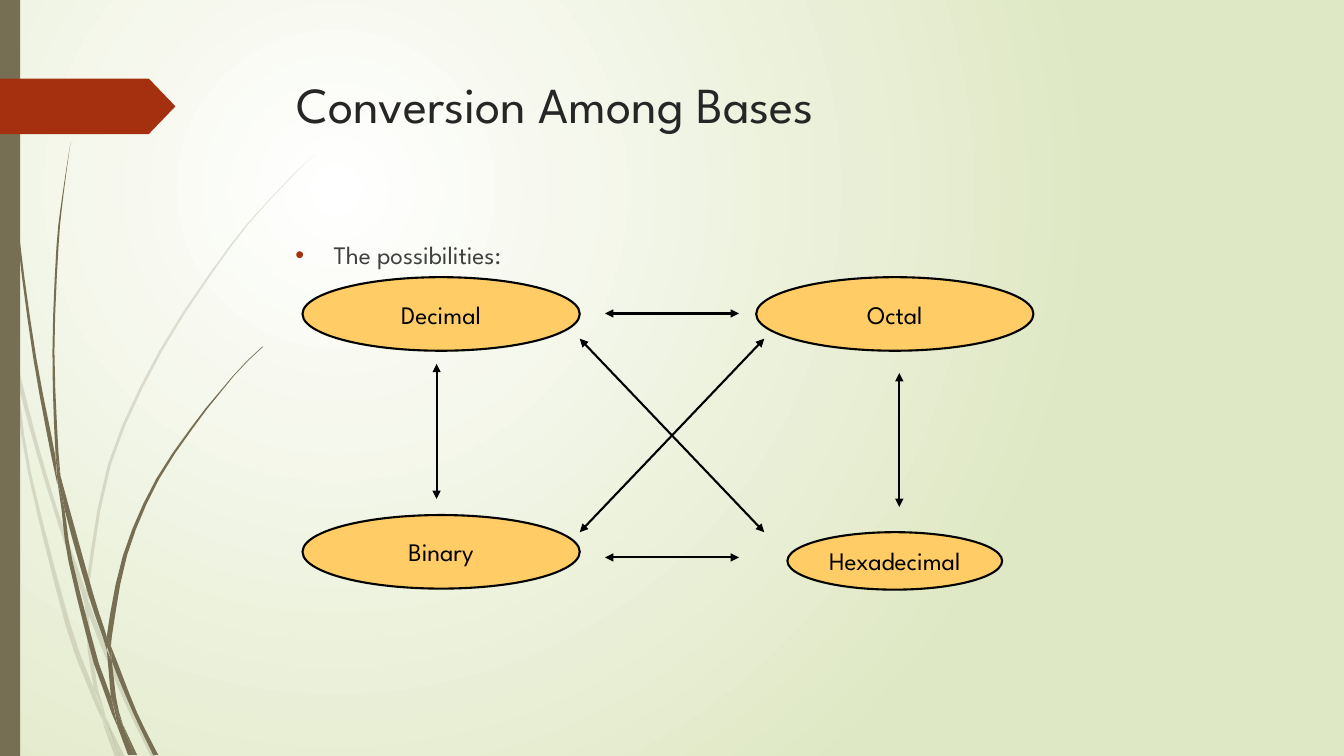
from lxml.etree import SubElement
from pptx import Presentation
from pptx.dml.color import RGBColor
from pptx.enum.shapes import MSO_CONNECTOR as CONNECTOR, MSO_SHAPE as SHAPE
from pptx.enum.text import MSO_ANCHOR as ANCHOR, PP_ALIGN as ALIGN
from pptx.oxml import parse_xml
from pptx.oxml.ns import nsdecls, qn
from pptx.util import Inches, Pt

FONT = "League Spartan"
OLIVE, RED, AMBER, BLACK = "766F54", "A53010", "FFCC66", "000000"

# Each piece of a grass blade is a list of rows: y, left edge, right edge.
PALE_PIECES = [
    [(2.82, 0, 0), (2.99, 0, 0.04), (3.22, 0.05, 0.09), (3.5, 0.11, 0.11)],
    [(3.45, 0.14, 0.14), (3.76, 0.17, 0.21), (4.49, 0.36, 0.4), (5.21, 0.58, 0.62),
     (5.86, 0.8, 0.85), (5.99, 0.84, 0.84)],
    [(5.96, 0.88, 0.88), (6.1, 0.88, 0.93), (6.93, 1.22, 1.27), (7.51, 1.5, 1.55)],
    [(7.11, 1.05, 1.05), (7.25, 1.09, 1.11), (7.51, 1.19, 1.24)],
    [(3.5, 0.11, 0.11), (3.76, 0.14, 0.17), (4.7, 0.28, 0.31), (6.2, 0.65, 0.7),
     (6.83, 0.88, 0.93), (6.93, 0.92, 0.95), (7.14, 1.01, 1.01)],
    [(5.99, 0.84, 0.84), (6.1, 0.85, 0.88), (6.46, 0.87, 0.91),
     (6.83, 0.93, 0.97), (7.11, 1.05, 1.05)],
    [(1.53, 3.12, 3.12), (1.75, 2.89, 2.9), (1.97, 2.68, 2.69), (2.45, 2.27, 2.29),
     (3.48, 1.58, 1.61), (4.61, 1.07, 1.1), (5.85, 0.85, 0.88), (5.96, 0.88, 0.88)],
    [(7.14, 1.01, 1.01), (7.26, 1.05, 1.07), (7.51, 1.14, 1.19)],
    [(5.86, 0.85, 0.85), (5.99, 0.84, 0.88), (6.1, 0.88, 0.88)],
    [(6.83, 0.93, 0.93), (6.92, 0.95, 0.96), (7.07, 0.99, 1.03), (7.51, 1.19, 1.19)],
]
DARK_PIECES = [
    [(0, 0.03, 0.04), (1.1, 0.07, 0.08), (2.33, 0.17, 0.19), (3.55, 0.33, 0.36),
     (4.53, 0.51, 0.55), (4.81, 0.57, 0.57)],
    [(4.72, 0.6, 0.6), (5.05, 0.64, 0.69), (5.91, 0.88, 0.93), (6.32, 1.02, 1.06),
     (6.45, 1.06, 1.06)],
    [(6.41, 1.1, 1.1), (6.56, 1.11, 1.16), (7.07, 1.32, 1.36), (7.49, 1.52, 1.57)],
    [(4.77, 0.57, 0.57), (5.05, 0.61, 0.64), (5.57, 0.68, 0.72), (6.58, 0.93, 0.98),
     (6.91, 1.05, 1.1), (7.08, 1.11, 1.14), (7.22, 1.17, 1.17)],
    [(1.41, 0.7, 0.7), (1.93, 0.62, 0.63), (2.45, 0.56, 0.58), (3.49, 0.52, 0.54),
     (4.49, 0.55, 0.58), (4.72, 0.6, 0.6)],
    [(7.19, 1.22, 1.22), (7.49, 1.33, 1.36)],
    [(4.49, 0.55, 0.55), (4.77, 0.57, 0.61), (5.05, 0.64, 0.64)],
    [(3.44, 2.6, 2.61), (3.58, 2.45, 2.46), (3.73, 2.31, 2.32), (4.05, 2.04, 2.06),
     (4.75, 1.55, 1.58), (5.51, 1.22, 1.26), (6.31, 1.06, 1.11), (6.41, 1.1, 1.1)],
    [(7.22, 1.17, 1.17), (7.49, 1.27, 1.31)],
    [(6.45, 1.06, 1.06), (6.56, 1.07, 1.11), (6.91, 1.1, 1.15), (7.06, 1.16, 1.18),
     (7.19, 1.22, 1.22)],
    [(6.31, 1.06, 1.06), (6.41, 1.06, 1.1), (6.56, 1.11, 1.11)],
    [(6.91, 1.1, 1.1), (7.06, 1.14, 1.16), (7.22, 1.17, 1.23), (7.49, 1.3, 1.33)],
]


def color(hex_string):
    return RGBColor.from_string(hex_string)


def paint(shape, fill, line=None):
    shape.shadow.inherit = False
    shape.fill.solid()
    shape.fill.fore_color.rgb = color(fill)
    if line:
        shape.line.color.rgb = color(line)
        shape.line.width = Pt(1.5)
    else:
        shape.line.fill.background()


def write(frame, text, size=18, ink=BLACK, align=ALIGN.LEFT, anchor=ANCHOR.TOP,
          wrap=True, bullet=None):
    frame.word_wrap = wrap
    frame.vertical_anchor = anchor
    paragraph = frame.paragraphs[0]
    paragraph.alignment = align
    if bullet:
        properties = paragraph._p.get_or_add_pPr()
        properties.set("marL", str(Inches(0.38)))
        properties.set("indent", str(-Inches(0.38)))
        bullet_color = SubElement(properties, qn("a:buClr"))
        SubElement(bullet_color, qn("a:srgbClr"), val=bullet)
        SubElement(properties, qn("a:buFont"), typeface="Arial")
        SubElement(properties, qn("a:buChar"), char="•")
    run = paragraph.add_run()
    run.text = text
    run.font.name = FONT
    run.font.size = Pt(size)
    run.font.color.rgb = color(ink)


def add_text(slide, box, text, **style):
    textbox = slide.shapes.add_textbox(*map(Inches, box))
    write(textbox.text_frame, text, **style)


def smooth_rows(rows, steps=3):
    """Pass a Catmull-Rom curve through the rows of a piece."""
    padded = [rows[0], *rows, rows[-1]]
    curve = []
    for before, start, end, after in zip(padded, padded[1:], padded[2:], padded[3:]):
        for step in range(steps if end[0] - start[0] > 0.4 else 1):
            t = step / steps
            curve.append([
                b + ((c - a) * t + (2 * a - 5 * b + 4 * c - d) * t ** 2
                     + (3 * b - a - 3 * c + d) * t ** 3) / 2
                for a, b, c, d in zip(before, start, end, after)])
    return curve + [rows[-1]]


def add_grass_piece(slide, left, top, rows, opacity):
    rows = smooth_rows(rows)
    outline = [(Inches(left + x), Inches(top + y)) for y, x, _ in rows]
    outline += [(Inches(left + x), Inches(top + y)) for y, _, x in reversed(rows)]
    builder = slide.shapes.build_freeform(*outline[0])
    builder.add_line_segments(outline[1:], close=True)
    piece = builder.convert_to_shape()
    paint(piece, OLIVE)
    if opacity < 100:
        tint = piece._element.spPr.find(qn("a:solidFill"))[0]
        SubElement(tint, qn("a:alpha"), val=str(opacity * 1000))


def set_background(slide):
    fill = slide.background.fill
    fill.gradient()
    for stop, shade in zip(fill.gradient_stops, ("FFFFFF", "DFE8C4")):
        stop.color.rgb = color(shade)
    gradient = slide._element.find(".//" + qn("a:gradFill"))
    gradient.replace(gradient.find(qn("a:lin")), parse_xml(
        f'<a:path {nsdecls("a")} path="circle"><a:fillToRect '
        'l="50000" t="50000" r="100000" b="100000"/></a:path>'))


def add_side_decoration(slide, left, top, height):
    for pieces, opacity in ((PALE_PIECES, 20), (DARK_PIECES, 100)):
        for rows in pieces:
            add_grass_piece(slide, left, top, rows, opacity)
    bar = slide.shapes.add_shape(
        SHAPE.RECTANGLE, *map(Inches, (left, top, 0.2, height)))
    paint(bar, OLIVE)
    tag = slide.shapes.add_shape(
        SHAPE.PENTAGON, *map(Inches, (left, top + 0.78, 1.74, 0.55)))
    tag.adjustments[0] = 0.48
    paint(tag, RED)


def add_base(slide, box, name):
    base = slide.shapes.add_shape(SHAPE.OVAL, *map(Inches, box))
    paint(base, AMBER, BLACK)
    write(base.text_frame, name, align=ALIGN.CENTER, anchor=ANCHOR.MIDDLE, wrap=False)


def add_double_arrow(slide, *ends):
    arrow = slide.shapes.add_connector(CONNECTOR.STRAIGHT, *map(Inches, ends))
    arrow.line.color.rgb = color(BLACK)
    arrow.line.width = Pt(1.5)
    line = arrow.line._get_or_add_ln()
    for end in ("a:headEnd", "a:tailEnd"):
        SubElement(line, qn(end), type="triangle")
    SubElement(arrow._element.spPr, qn("a:effectLst"))


def add_conversion_diagram(slide, left, top):
    for x, y, width, height, name in (
            (4.81, 2.53, 2.13, 0.57, "Hexadecimal"),
            (0, 0, 2.75, 0.73, "Decimal"),
            (4.5, 0, 2.75, 0.73, "Octal"),
            (0, 2.36, 2.75, 0.73, "Binary")):
        add_base(slide, (left + x, top + y, width, height), name)
    for x1, y1, x2, y2 in (
            (2.75, 2.53, 4.58, 0.61), (4.58, 2.53, 2.75, 0.61),
            (5.92, 2.28, 5.92, 0.95), (1.33, 2.2, 1.33, 0.86),
            (3, 0.36, 4.33, 0.36), (3, 2.78, 4.33, 2.78)):
        add_double_arrow(slide, left + x1, top + y1, left + x2, top + y2)


def main():
    deck = Presentation()
    deck.slide_width, deck.slide_height = Inches(13.33), Inches(7.5)
    slide = deck.slides.add_slide(deck.slide_layouts[6])
    set_background(slide)
    add_side_decoration(slide, 0, 0, 7.5)
    add_text(slide, (2.84, 0.68, 9.75, 1.4), "Conversion Among Bases",
             size=36, ink="262626")
    add_text(slide, (2.83, 2.33, 9.75, 4.13), "The possibilities:",
             ink="404040", bullet=RED)
    add_conversion_diagram(slide, 3, 2.75)
    deck.save("out.pptx")


if __name__ == "__main__":
    main()
